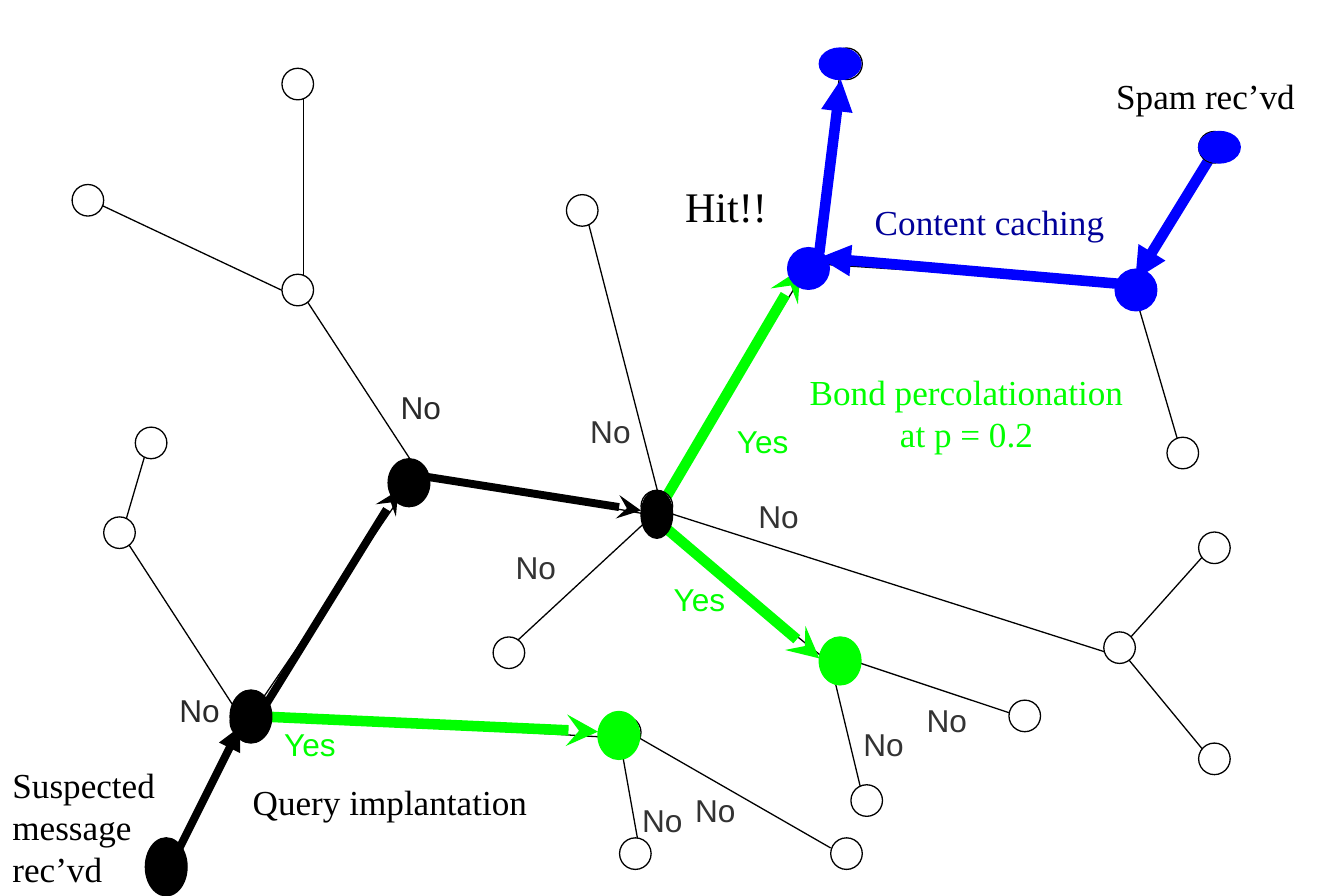
import pptx
import pptx.util
import pptx.dml.color
import pptx.enum.shapes
import pptx.enum.text
import pptx.oxml.xmlchemy

Inches = pptx.util.Inches
Pt = pptx.util.Pt
COLORS = {
    "black": "000000", "white": "FFFFFF", "green": "00FF00", "blue": "0000FF",
    "navy": "000099", "gray": "333333", "dark": "292929",
}
RGB = {k: pptx.dml.color.RGBColor.from_string(v) for k, v in COLORS.items()}

prs = pptx.Presentation()
prs.slide_width = Inches(10.63)
prs.slide_height = Inches(7.09)
s = prs.slides.add_slide(prs.slide_layouts[6])


def add_text(text, x, y, w, h, size=20, font="Times New Roman", color="black",
             align=pptx.enum.text.PP_ALIGN.LEFT):
    tb = s.shapes.add_textbox(Inches(x), Inches(y), Inches(w), Inches(h))
    tf = tb.text_frame
    tf.word_wrap = True
    tf.auto_size = pptx.enum.text.MSO_AUTO_SIZE.SHAPE_TO_FIT_TEXT
    p = tf.paragraphs[0]
    p.alignment = align
    r = p.add_run()
    r.text = text
    r.font.size = Pt(size)
    r.font.name = font
    r.font.color.rgb = RGB[color]


def add_line(x1, y1, x2, y2, color="black", width=0.75, arrow=None):
    c = s.shapes.add_connector(pptx.enum.shapes.MSO_CONNECTOR.STRAIGHT,
                               Inches(x1), Inches(y1), Inches(x2), Inches(y2))
    c.line.color.rgb = RGB[color]
    c.line.width = Pt(width)
    spPr = c._element.spPr
    if arrow:
        tail = pptx.oxml.xmlchemy.OxmlElement("a:tailEnd")
        tail.set("type", arrow)
        spPr.get_or_add_ln().append(tail)
    spPr.append(pptx.oxml.xmlchemy.OxmlElement("a:effectLst"))


edges = [
    (5.23, 4, 6.4, 2.09), (5.23, 4.17, 6.57, 5.25), (1.98, 5.67, 4.9, 5.84),
    (9.57, 6, 8.82, 5.09), (1.9, 5.67, 0.98, 4.25), (1.98, 5.67, 3.23, 3.84),
    (3.32, 3.75, 5.23, 4.09), (3.32, 3.75, 2.4, 2.34), (5.23, 4, 4.65, 1.75),
    (5.15, 4.09, 4.07, 5.09), (4.9, 5.75, 6.57, 6.71), (4.9, 5.84, 5.07, 6.79),
    (5.23, 4.04, 8.9, 5.21), (6.48, 2.09, 6.65, 0.5), (6.48, 2.09, 8.9, 2.25),
    (8.9, 5.09, 9.57, 4.34), (1.9, 5.75, 1.4, 6.75), (2.32, 2.34, 0.73, 1.59),
    (2.4, 2.25, 2.4, 0.59), (6.57, 5.17, 8.07, 5.67), (6.57, 5.25, 6.82, 6.29),
    (0.98, 4.17, 1.15, 3.59), (8.98, 2.34, 9.32, 3.5), (8.98, 2.25, 9.57, 1.25),
]
for edge in edges:
    add_line(*edge)

arrows = [
    (5.23, 4, 6.33, 2.13, "green", 6, "stealth"),
    (5.15, 4.08, 6.48, 5.21, "green", 6, "stealth"),
    (2.07, 5.67, 4.73, 5.79, "green", 6, "stealth"),
    (1.4, 6.75, 1.9, 5.75, "black", 4.5, "triangle"),
    (2.07, 5.63, 3.15, 3.88, "black", 4.5, "stealth"),
    (3.23, 3.75, 5.07, 4.04, "black", 4.5, "stealth"),
    (9.57, 1.25, 8.98, 2.21, "blue", 6, "triangle"),
    (8.9, 2.25, 6.48, 2.04, "blue", 6, "triangle"),
]
for arrow in arrows:
    add_line(*arrow)

idle_nodes = [
    (8.73, 5), (1.82, 5.59), (2.23, 2.17), (5.07, 3.88), (4.82, 5.67),
    (0.82, 4.09), (6.57, 0.38), (4.9, 6.63), (6.57, 6.63), (1.07, 3.38),
    (0.57, 1.46), (2.23, 0.54), (6.73, 6.21), (7.98, 5.54), (9.48, 4.21),
    (9.48, 5.88), (9.23, 3.46), (9.48, 1.04), (4.48, 1.54), (3.9, 5.04),
]
active_nodes = [
    (8.82, 2.13, 0.33, 0.33, "blue"), (6.23, 1.96, 0.33, 0.33, "blue"),
    (9.48, 1.04, 0.33, 0.25, "blue"), (6.48, 0.38, 0.33, 0.25, "blue"),
    (1.15, 6.63, 0.33, 0.46, "black"), (1.82, 5.46, 0.33, 0.42, "black"),
    (3.07, 3.63, 0.33, 0.38, "black"), (5.07, 3.88, 0.25, 0.38, "black"),
    (4.73, 5.63, 0.33, 0.38, "green"), (6.48, 5.04, 0.33, 0.38, "green"),
]
for x, y, w, h, fill in [(x, y, 0.25, 0.25, "white") for x, y in idle_nodes] + active_nodes:
    sp = s.shapes.add_shape(pptx.enum.shapes.MSO_SHAPE.OVAL,
                            Inches(x), Inches(y), Inches(w), Inches(h))
    sp.shadow.inherit = False
    sp.fill.solid()
    sp.fill.fore_color.rgb = RGB[fill]
    sp.line.color.rgb = RGB["black" if fill == "white" else fill]
    sp.line.width = Pt(0.75)

add_line(6.48, 2, 6.65, 0.63, "blue", 6, "triangle")

answers = [
    ("No", 4.57, 3.21, "gray"), ("Yes", 5.23, 4.54, "green"),
    ("No", 5.9, 3.88, "gray"), ("Yes", 5.73, 3.29, "green"),
    ("No", 3.98, 4.29, "gray"), ("Yes", 2.15, 5.69, "green"),
    ("No", 1.32, 5.42, "dark"), ("No", 3.07, 3.02, "dark"),
    ("No", 4.98, 6.29, "gray"), ("No", 5.4, 6.21, "gray"),
    ("No", 6.73, 5.69, "gray"), ("No", 7.23, 5.5, "gray"),
]
for answer, x, y, color in answers:
    add_text(answer, x, y, 0.67, 0.4, size=18, font="Arial", color=color)

add_text("Spam rec’vd", 8.73, 0.54, 1.9, 0.44)
add_text("Content caching", 6.82, 1.54, 2.08, 0.44, color="navy")
add_text("Query implantation", 1.9, 6.13, 2.42, 0.44)
add_text("Suspected message rec’vd", 0, 5.99, 1.4, 1.1)
add_text("Bond percolationation at p = 0.2", 6.23, 2.88, 2.83, 0.77, color="green",
         align=pptx.enum.text.PP_ALIGN.CENTER)
add_text("Hit!!", 5.32, 1.38, 1, 0.5, size=24)

prs.save("out.pptx")
